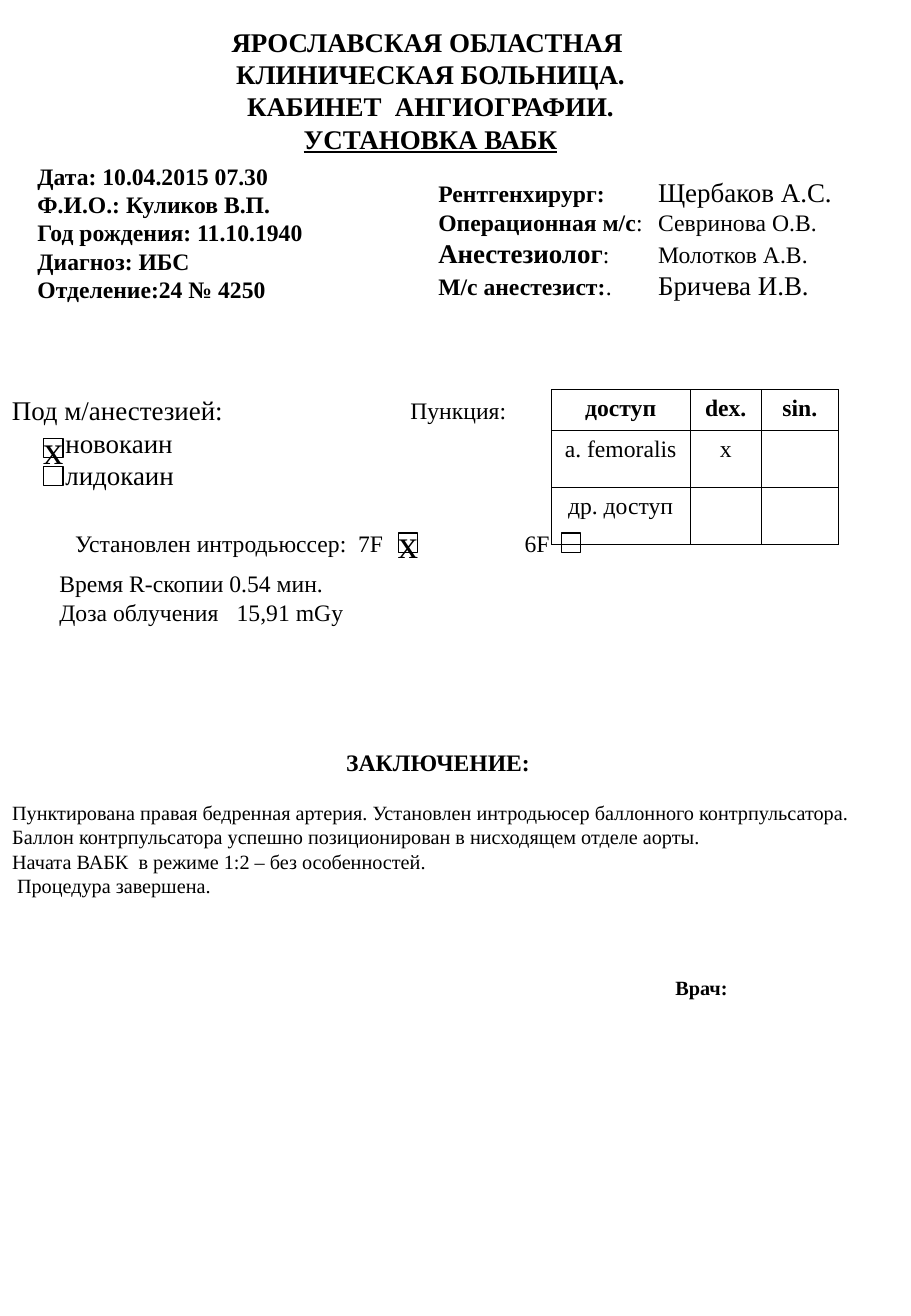
"""Build a one-page clinic form for an intra-aortic balloon pump procedure."""
from dataclasses import dataclass

from lxml.etree import SubElement
from pptx import Presentation
from pptx.dml.color import RGBColor
from pptx.enum.shapes import MSO_SHAPE
from pptx.enum.text import MSO_ANCHOR, MSO_AUTO_SIZE, PP_ALIGN
from pptx.oxml.ns import qn
from pptx.util import Emu, Pt


@dataclass(frozen=True)
class Theme:
    font: str = "Times New Roman"
    ink: RGBColor = RGBColor(0, 0, 0)
    small: int = 12
    text: int = 14
    large: int = 16
    mark: int = 24
    box_line: float = 0.75
    grid_line: float = 0.45


theme = Theme()
PX = 9144


def px(length):
    return Emu(length * PX)


def add_text(frame, text, size=theme.text, bold=False, underline=False,
             align=PP_ALIGN.LEFT, indent=0, gap=0, tab=None, same_line=False):
    para = frame.paragraphs[-1]
    if not same_line:
        if para.runs:
            para = frame.add_paragraph()
        para.alignment = align
        para.space_before = px(gap)
        properties = para._p.get_or_add_pPr()
        if tab:
            stops = SubElement(properties, qn("a:tabLst"))
            SubElement(stops, qn("a:tab"), pos=str(px(tab)), algn="l")
        else:
            properties.set("marL", str(px(indent)))
            properties.set("indent", "0")
            SubElement(properties, qn("a:buNone"))
    span = para.add_run()
    span.text = text
    span.font.name = theme.font
    span.font.size = Pt(size)
    span.font.bold = bold
    span.font.underline = underline
    span.font.color.rgb = theme.ink


deck = Presentation()
deck.slide_width, deck.slide_height = px(750), px(1084)
page = deck.slides.add_slide(deck.slide_layouts[1])
title, conclusion = page.placeholders

for holder, (left, top, width, height), anchor in (
    (title, (17, 0, 675, 148), MSO_ANCHOR.MIDDLE),
    (conclusion, (0, 464, 750, 512), MSO_ANCHOR.TOP),
):
    holder.left, holder.top = px(left), px(top)
    holder.width, holder.height = px(width), px(height)
    holder.text_frame.auto_size = MSO_AUTO_SIZE.NONE
    holder.text_frame.vertical_anchor = anchor
conclusion.text_frame.margin_top = px(152)

for line in ("ЯРОСЛАВСКАЯ ОБЛАСТНАЯ ", "КЛИНИЧЕСКАЯ БОЛЬНИЦА.",
             "КАБИНЕТ  АНГИОГРАФИИ.", "УСТАНОВКА ВАБК"):
    add_text(title.text_frame, line, size=theme.large, bold=True,
             underline=line == "УСТАНОВКА ВАБК", align=PP_ALIGN.CENTER)

frames = {}
for name, left, top, width, height, anchor in (
    ("patient", 21, 85, 307, 213, MSO_ANCHOR.MIDDLE),
    ("staff", 351, 140, 375, 114, MSO_ANCHOR.TOP),
    ("anesthesia", 0, 258, 342, 260, MSO_ANCHOR.MIDDLE),
    ("puncture", 328, 321, 99, 34, MSO_ANCHOR.TOP),
    ("introducer", 52, 431, 632, 34, MSO_ANCHOR.TOP),
    ("exposure", 39, 464, 312, 57, MSO_ANCHOR.TOP),
):
    box = page.shapes.add_textbox(px(left), px(top), px(width), px(height))
    box.text_frame.word_wrap = True
    box.text_frame.vertical_anchor = anchor
    frames[name] = box.text_frame
frames["anesthesia"].margin_bottom = px(52)

for line in ("Дата: 10.04.2015 07.30", "Ф.И.О.: Куликов В.П.",
             "Год рождения: 11.10.1940", "Диагноз: ИБС", "Отделение:24 № 4250"):
    add_text(frames["patient"], line, bold=True)

for role, role_size, mark, person, person_size in (
    ("Рентгенхирург:", theme.text, "", "Щербаков А.С.", theme.large),
    ("Операционная м/с", theme.text, ":", "Севринова О.В.", theme.text),
    ("Анестезиолог", theme.large, ":", "Молотков А.В.", theme.text),
    ("М/с анестезист:", theme.text, ".", "Бричева И.В.", theme.large),
):
    add_text(frames["staff"], role, size=role_size, bold=True, tab=181)
    add_text(frames["staff"], f"{mark}\t", same_line=True)
    add_text(frames["staff"], person, size=person_size, same_line=True)

add_text(frames["anesthesia"], "Под м/анестезией:", size=theme.large)
for drug in ("новокаин", "лидокаин"):
    add_text(frames["anesthesia"], drug, size=theme.large, indent=44)

add_text(frames["puncture"], "Пункция:")
add_text(frames["introducer"], "Установлен интродьюссер:  7F\t6F", tab=370)
add_text(frames["exposure"], "Время R-скопии 0.54 мин.")
add_text(frames["exposure"], "Доза облучения\t15,91 mGy", tab=146)

access_rows = (("доступ", "dex.", "sin."),
               ("a. femoralis", "х", ""),
               ("др. доступ", "", ""))
column_widths, row_heights = (114, 59, 63), (33, 47, 47)
access = page.shapes.add_table(3, 3, px(454), px(321), px(sum(column_widths)),
                               px(sum(row_heights))).table
access.first_row = access.horz_banding = False
for column, width in zip(access.columns, column_widths):
    column.width = px(width)
for row, height in zip(access.rows, row_heights):
    row.height = px(height)
for row_index, row in enumerate(access_rows):
    for column_index, label in enumerate(row):
        cell = access.cell(row_index, column_index)
        if label:
            add_text(cell.text_frame, label, bold=row_index == 0,
                     align=PP_ALIGN.CENTER)
        cell_properties = cell._tc.get_or_add_tcPr()
        for side in ("lnL", "lnR", "lnT", "lnB"):
            border = SubElement(cell_properties, qn(f"a:{side}"),
                                w=str(Pt(theme.grid_line)))
            fill = SubElement(border, qn("a:solidFill"))
            SubElement(fill, qn("a:srgbClr"), val=str(theme.ink))
        cell.fill.background()

for left, top, checked in ((36, 361, True), (36, 384, False),
                           (328, 439, True), (462, 439, False)):
    checkbox = page.shapes.add_shape(MSO_SHAPE.RECTANGLE, px(left), px(top),
                                     px(16), px(16))
    checkbox.shadow.inherit = False
    checkbox.fill.background()
    checkbox.line.color.rgb = theme.ink
    checkbox.line.width = Pt(theme.box_line)
    if checked:
        checkbox.text_frame.word_wrap = False
        checkbox.text_frame.vertical_anchor = MSO_ANCHOR.MIDDLE
        add_text(checkbox.text_frame, "х", size=theme.mark,
                 align=PP_ALIGN.CENTER)

add_text(conclusion.text_frame, "ЗАКЛЮЧЕНИЕ:", bold=True, indent=275)
for line, indent, gap in (
    ("Пунктирована правая бедренная артерия. Установлен интродьюсер "
     "баллонного контрпульсатора.", 0, 20),
    ("Баллон контрпульсатора успешно позиционирован в нисходящем отделе аорты.",
     0, 0),
    ("Начата ВАБК  в режиме 1:2 – без особенностей.", 0, 0),
    ("Процедура завершена.", 4, 0),
):
    add_text(conclusion.text_frame, line, size=theme.small, indent=indent, gap=gap)
add_text(conclusion.text_frame, "Врач:", size=theme.small, bold=True,
         indent=546, gap=64)

deck.save("out.pptx")
